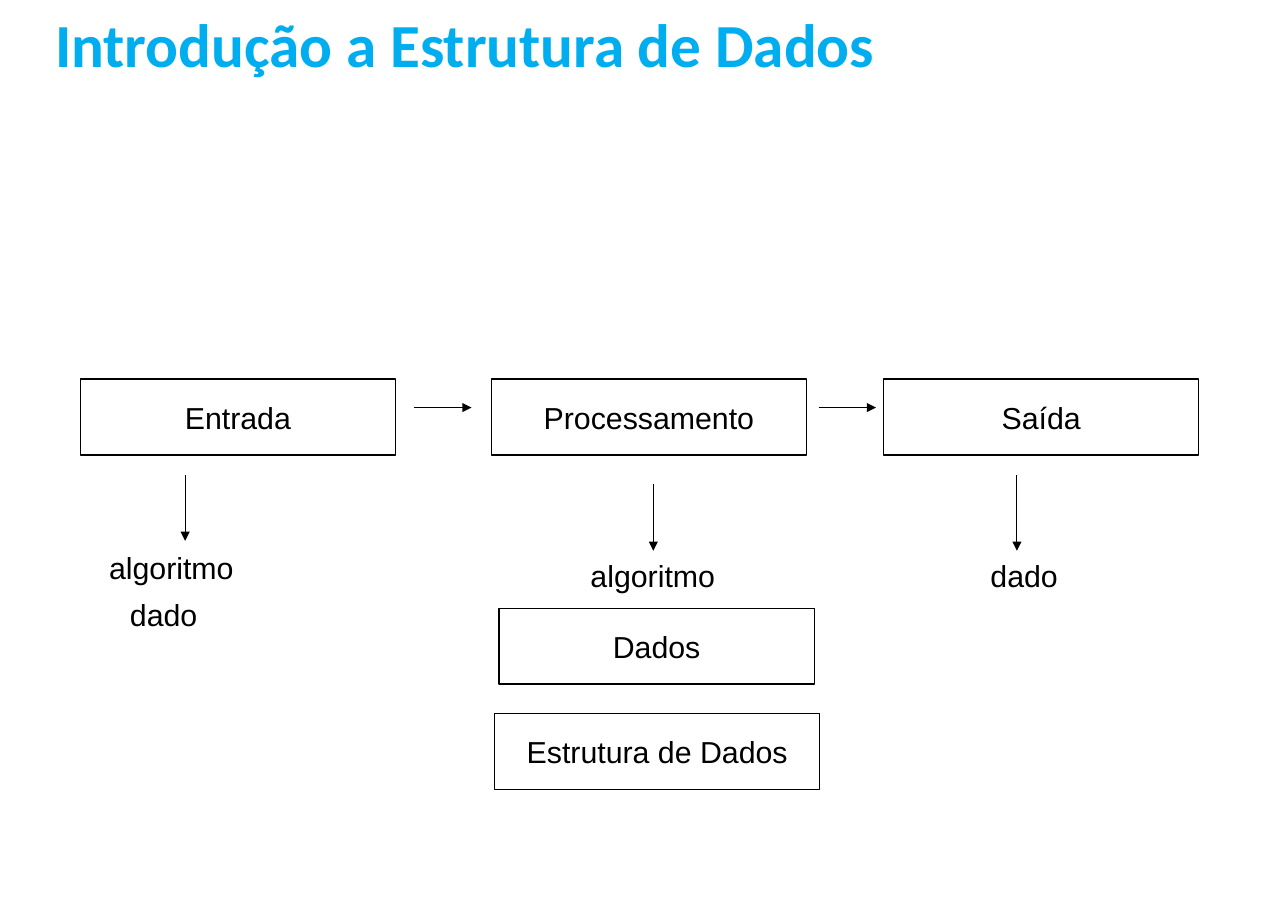
from lxml.etree import SubElement
from pptx import Presentation
from pptx.dml.color import RGBColor
from pptx.enum.shapes import MSO_CONNECTOR, MSO_SHAPE
from pptx.enum.text import MSO_ANCHOR, MSO_AUTO_SIZE, PP_ALIGN
from pptx.oxml.ns import qn
from pptx.util import Emu, Pt

EMU_PER_PX = 9144  # 100 px to the inch
BLACK = "000000"
CYAN = "00AEEF"
BOX_WIDTH, BOX_HEIGHT = 286, 69
LABEL_HEIGHT = 45
STEP_TOP = 344
FLOW_ARROW_Y, FLOW_ARROW_LENGTH = 370, 52


def px(length):
    return Emu(length * EMU_PER_PX)


def color(hex_string):
    return RGBColor.from_string(hex_string)


def write_text(shape, text, font="Arial", size=19.8, fill=BLACK, bold=False,
               align=PP_ALIGN.LEFT, anchor=MSO_ANCHOR.TOP, wrap=False,
               margins=(11, 6), auto_size=MSO_AUTO_SIZE.NONE):
    frame = shape.text_frame
    frame.auto_size = auto_size
    frame.word_wrap = wrap
    frame.vertical_anchor = anchor
    frame.margin_left = frame.margin_right = px(margins[0])
    frame.margin_top = frame.margin_bottom = px(margins[1])
    paragraph = frame.paragraphs[0]
    paragraph.alignment = align
    run = paragraph.add_run()
    run.text = text
    run.font.name = font
    run.font.size = Pt(size)
    run.font.bold = bold
    run.font.color.rgb = color(fill)


def add_title(slide, text):
    title = slide.shapes.title
    title.left, title.top, title.width, title.height = map(px, (40, 0, 992, 78))
    write_text(title, text, font="Calibri", size=40, fill=CYAN, bold=True,
               anchor=MSO_ANCHOR.MIDDLE, wrap=True, margins=(10, 5))


def add_box(slide, text, left, top, width=BOX_WIDTH):
    box = slide.shapes.add_shape(MSO_SHAPE.RECTANGLE, px(left), px(top),
                                 px(width), px(BOX_HEIGHT))
    box.shadow.inherit = False
    box.fill.background()
    box.line.color.rgb = color(BLACK)
    box.line.width = Pt(0.75)
    write_text(box, text, align=PP_ALIGN.CENTER, anchor=MSO_ANCHOR.MIDDLE)


def add_label(slide, text, left, top, width):
    label = slide.shapes.add_textbox(px(left), px(top), px(width), px(LABEL_HEIGHT))
    write_text(label, text, auto_size=MSO_AUTO_SIZE.SHAPE_TO_FIT_TEXT)


def add_arrow(slide, start_x, start_y, end_x, end_y):
    arrow = slide.shapes.add_connector(MSO_CONNECTOR.STRAIGHT, px(start_x),
                                       px(start_y), px(end_x), px(end_y))
    arrow.line.color.rgb = color(BLACK)
    arrow.line.width = Pt(0.75)
    SubElement(arrow.line._get_or_add_ln(), qn("a:tailEnd"), type="triangle")
    SubElement(arrow._element.spPr, qn("a:effectLst"))


def main():
    presentation = Presentation()
    presentation.slide_width = px(1169)
    presentation.slide_height = px(827)
    slide = presentation.slides.add_slide(presentation.slide_layouts[5])
    add_title(slide, "Introdução a Estrutura de Dados")

    # Steps of the flow
    for text, left in (("Entrada", 73), ("Processamento", 446), ("Saída", 802)):
        add_box(slide, text, left, STEP_TOP)

    # What the processing works on
    add_box(slide, "Dados", 453, 552)
    add_box(slide, "Estrutura de Dados", 449, 648, width=295)

    # Labels under the steps
    for text, left, top, width in (
        ("algoritmo", 88, 493, 136),
        ("dado", 107, 535, 84),
        ("algoritmo", 525, 500, 136),
        ("dado", 888, 500, 84),
    ):
        add_label(slide, text, left, top, width)

    # Arrows between the steps
    for left in (376, 743):
        add_arrow(slide, left, FLOW_ARROW_Y, left + FLOW_ARROW_LENGTH, FLOW_ARROW_Y)

    # Arrows from the steps down to their labels
    for x, top, bottom in ((168, 431, 491), (593, 439, 500), (923, 431, 500)):
        add_arrow(slide, x, top, x, bottom)

    presentation.save("out.pptx")


if __name__ == "__main__":
    main()
